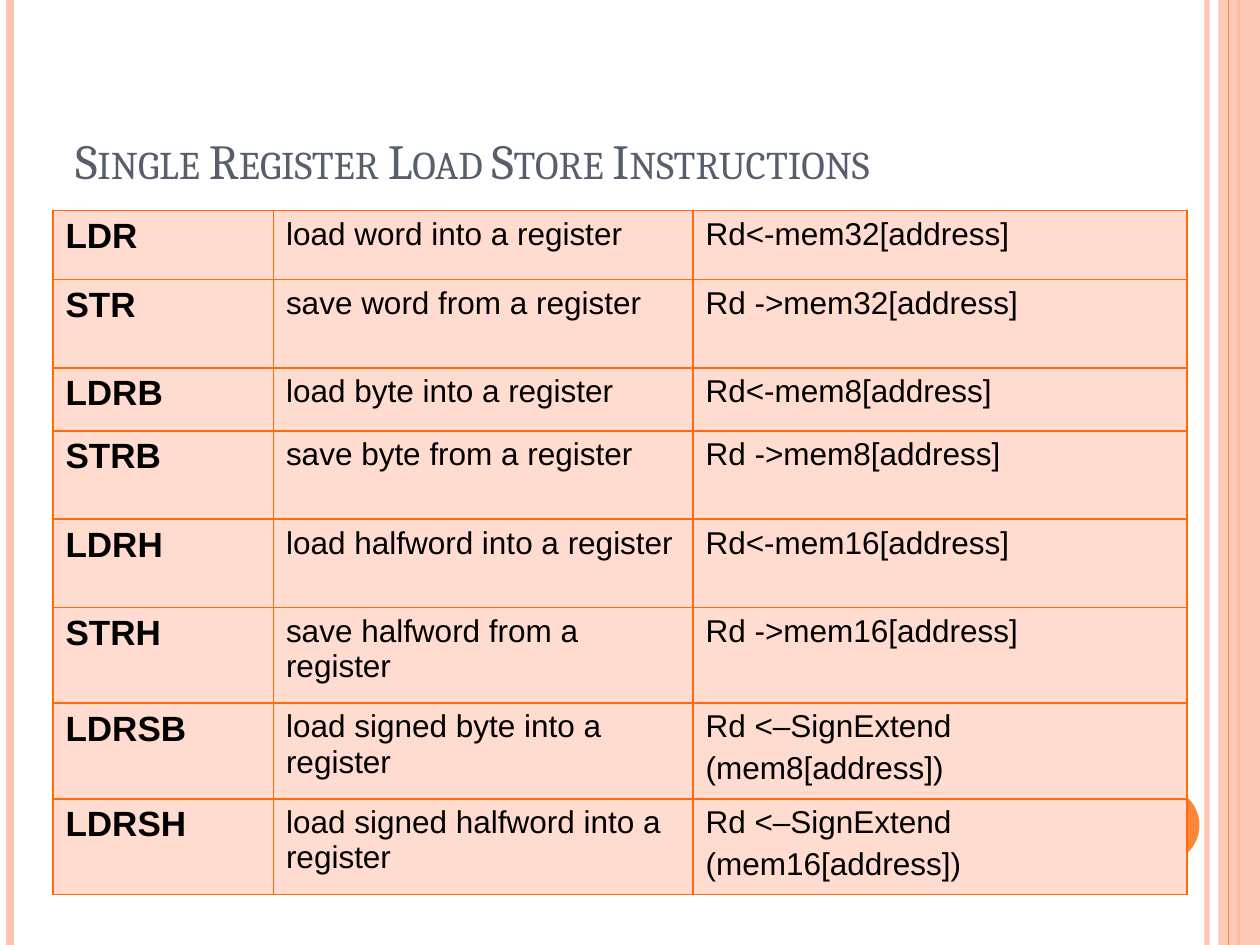
from lxml import etree
from pptx import Presentation
from pptx.dml.color import RGBColor
from pptx.enum.shapes import MSO_CONNECTOR, MSO_SHAPE
from pptx.enum.text import MSO_ANCHOR
from pptx.oxml.ns import qn
from pptx.util import Inches, Pt

COLORS = {"peach": "FEC3AE", "orange": "FE8637", "border": "FF6B0A",
          "cell": "FFDBD0", "title": "575F6D", "text": "000000"}
TITLE = "Single Register Load Store Instructions"
INSTRUCTIONS = [
    ("LDR", "load word into a register", "Rd<-mem32[address]", 0.55),
    ("STR", "save word from a register", "Rd ->mem32[address]", 0.7),
    ("LDRB", "load byte into a register", "Rd<-mem8[address]", 0.5),
    ("STRB", "save byte from a register", "Rd ->mem8[address]", 0.7),
    ("LDRH", "load halfword into a register", "Rd<-mem16[address]", 0.7),
    ("STRH", "save halfword from a register", "Rd ->mem16[address]", 0.76),
    ("LDRSB", "load signed byte into a register",
     "Rd <–SignExtend\n(mem8[address])", 0.76),
    ("LDRSH", "load signed halfword into a register",
     "Rd <–SignExtend\n(mem16[address])", 0.76),
]
COLUMN_WIDTHS = (1.75, 3.33, 3.92)
LEFT_STRIPES = [(9.58, "peach", 3, 93), (0.08, "peach", 4.5, 100),
                (9.83, "orange", 1.5, 100)]
RIGHT_STRIPES = [(9.75, "orange", 0.75, 100)]

prs = Presentation()
prs.slide_width, prs.slide_height = Inches(10), Inches(7.5)
slide = prs.slides.add_slide(prs.slide_layouts[6])


def color(name):
    return RGBColor.from_string(COLORS[name])


def set_alpha(element, percent):
    if percent < 100:
        clr = next(element.iter(qn("a:srgbClr")))
        etree.SubElement(clr, qn("a:alpha"), val=str(percent * 1000))


def add_stripe(x, name, width, alpha):
    stripe = slide.shapes.add_connector(
        MSO_CONNECTOR.STRAIGHT, Inches(x), 0, Inches(x), prs.slide_height)
    stripe.line.color.rgb = color(name)
    stripe.line.width = Pt(width)
    props = stripe._element.spPr
    set_alpha(props, alpha)
    etree.SubElement(props, qn("a:effectLst"))


def add_filled(kind, x, y, w, h, name, alpha=100):
    shape = slide.shapes.add_shape(kind, *map(Inches, (x, y, w, h)))
    shape.shadow.inherit = False
    shape.fill.solid()
    shape.fill.fore_color.rgb = color(name)
    shape.line.fill.background()
    set_alpha(shape._element.spPr, alpha)


def style(font, family, size, name, bold=False):
    font.name, font.size, font.bold = family, Pt(size), bold
    font.color.rgb = color(name)


def fill_cell(cell, text, size, bold):
    cell.text = text
    for index, paragraph in enumerate(cell.text_frame.paragraphs):
        if index:
            paragraph.space_before = Pt(size * 0.2)
        style(paragraph.runs[0].font, "Arial", size, "text", bold)
    props = cell._tc.get_or_add_tcPr()
    for side in ("a:lnL", "a:lnR", "a:lnT", "a:lnB"):
        line = etree.SubElement(props, qn(side), w=str(Pt(1)))
        solid = etree.SubElement(line, qn("a:solidFill"))
        etree.SubElement(solid, qn("a:srgbClr"), val=COLORS["border"])
    cell.fill.solid()
    cell.fill.fore_color.rgb = color("cell")


for stripe in LEFT_STRIPES:
    add_stripe(*stripe)
add_filled(MSO_SHAPE.RECTANGLE, 9.67, 0, 0.33, 7.5, "peach", 87)
for stripe in RIGHT_STRIPES:
    add_stripe(*stripe)
add_filled(MSO_SHAPE.OVAL, 8.92, 6.25, 0.6, 0.6, "orange")

title = slide.shapes.add_textbox(*map(Inches, (0.5, 0.3, 9, 1.25))).text_frame
title.word_wrap = True
title.vertical_anchor = MSO_ANCHOR.BOTTOM
title.text = TITLE
title_run = title.paragraphs[0].runs[0]
style(title_run.font, "Cambria", 28, "title")
title_run.font._element.set("cap", "small")

table = slide.shapes.add_table(
    len(INSTRUCTIONS), len(COLUMN_WIDTHS), Inches(0.42), Inches(1.67),
    Inches(sum(COLUMN_WIDTHS)), Inches(sum(row[-1] for row in INSTRUCTIONS))).table
table.first_row = table.horz_banding = False
for column, width in zip(table.columns, COLUMN_WIDTHS):
    column.width = Inches(width)
for r, (*texts, height) in enumerate(INSTRUCTIONS):
    table.rows[r].height = Inches(height)
    for c, text in enumerate(texts):
        fill_cell(table.cell(r, c), text, 18 if c else 20, c == 0)

prs.save("out.pptx")
